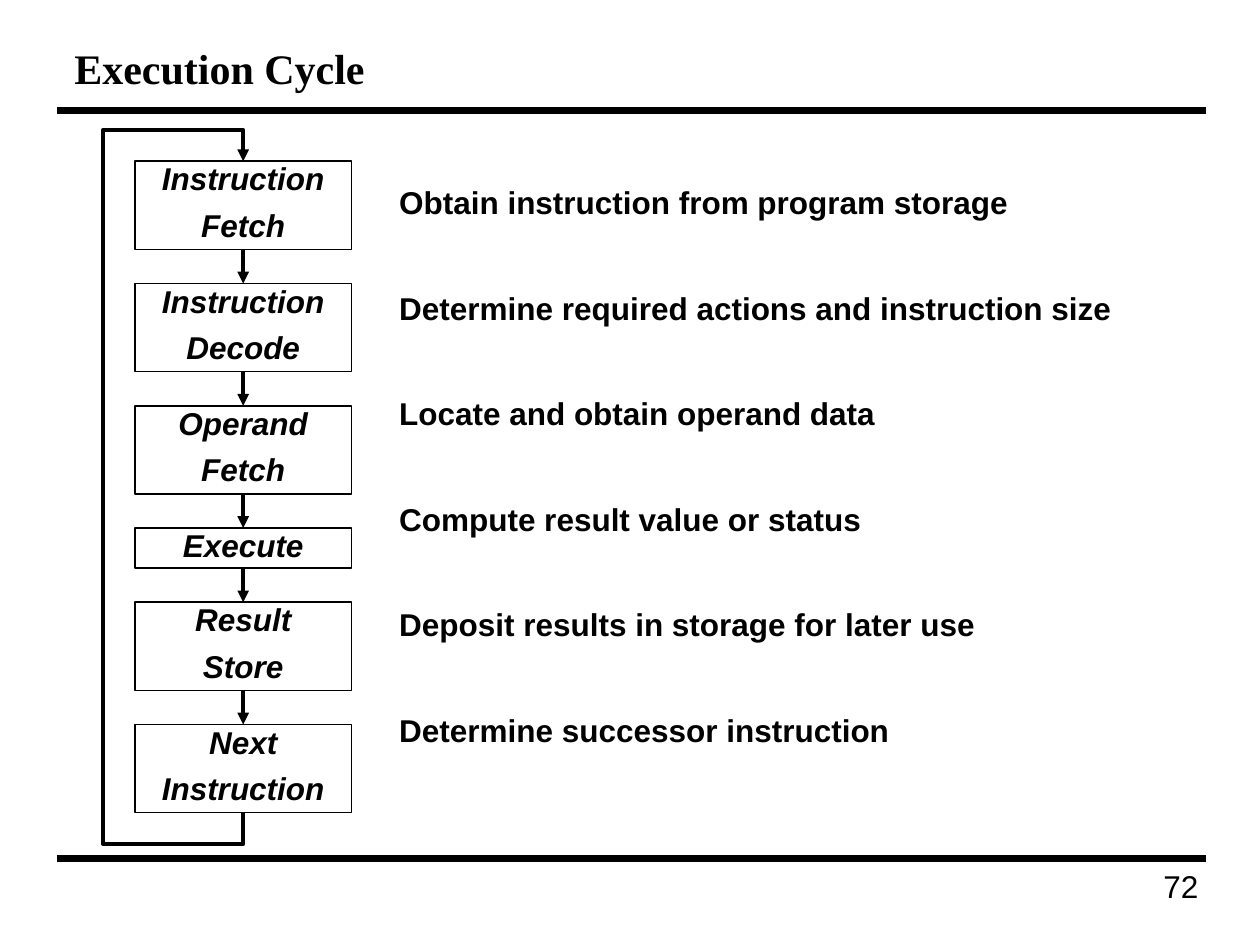
from lxml import etree
from pptx import Presentation
from pptx.dml.color import RGBColor
from pptx.enum.shapes import MSO_CONNECTOR, MSO_SHAPE
from pptx.enum.text import MSO_ANCHOR, PP_ALIGN
from pptx.oxml.ns import qn
from pptx.util import Inches, Pt

STRAIGHT = MSO_CONNECTOR.STRAIGHT
RECT = MSO_SHAPE.RECTANGLE
TOP, MIDDLE = MSO_ANCHOR.TOP, MSO_ANCHOR.MIDDLE
LEFT, CENTER, RIGHT, JUSTIFY = (
    PP_ALIGN.LEFT, PP_ALIGN.CENTER, PP_ALIGN.RIGHT, PP_ALIGN.JUSTIFY)
BLACK = "000000"

STEPS = [
    (["Instruction", "Fetch"], "Obtain instruction from program storage"),
    (["Instruction", "Decode"],
     "Determine required actions and instruction size"),
    (["Operand", "Fetch"], "Locate and obtain operand data"),
    (["Execute"], "Compute result value or status"),
    (["Result", "Store"], "Deposit results in storage for later use"),
    (["Next", "Instruction"], "Determine successor instruction"),
]


def color(code):
    return RGBColor.from_string(code)


def write(shape, lines, size=18, font="Arial", bold=False, italic=False,
          align=LEFT, anchor=TOP, pad=(0.1, 0.05), top=None,
          spacing=1.0, before=0):
    """Fill a shape with one paragraph per line; pad is (side, top/bottom)."""
    frame = shape.text_frame
    frame.word_wrap = True
    frame.vertical_anchor = anchor
    frame.margin_left = frame.margin_right = Inches(pad[0])
    frame.margin_bottom = Inches(pad[1])
    frame.margin_top = Inches(pad[1] if top is None else top)
    for i, line in enumerate(lines):
        para = frame.add_paragraph() if i else frame.paragraphs[0]
        para.alignment = align
        para.line_spacing = spacing
        para.space_before = Pt(before if i else 0)
        run = para.add_run()
        run.text = line
        run.font.size = Pt(size)
        run.font.name = font
        run.font.bold = bold
        run.font.italic = italic
        run.font.color.rgb = color(BLACK)


def stroke(shape, width, arrow=False):
    shape.line.color.rgb = color(BLACK)
    shape.line.width = Pt(width)
    if arrow:
        tail = etree.SubElement(shape.line._get_or_add_ln(), qn("a:tailEnd"))
        tail.set("type", "triangle")


def link(slide, x1, y1, x2, y2, width, arrow=False):
    line = slide.shapes.add_connector(
        STRAIGHT, Inches(x1), Inches(y1), Inches(x2), Inches(y2))
    stroke(line, width, arrow)
    etree.SubElement(line._element.spPr, qn("a:effectLst"))
    return line


def add_frame(slide, left, top, width, height):
    """Place the title, the two rules and the page number."""
    title = slide.shapes.title
    title.left, title.top = Inches(left + 0.04), Inches(top)
    title.width, title.height = Inches(width - 0.08), Inches(0.58)
    write(title, ["Execution Cycle"], size=24, font="Times New Roman",
          bold=True, anchor=MIDDLE)
    right, base = left + width, top + height - 0.51
    for y in (top + 0.63, base):
        link(slide, left, y, right, y, 4)
    page = slide.shapes.add_textbox(
        Inches(right - 2.01), Inches(base + 0.02), Inches(2.05), Inches(0.49))
    write(page, ["72"], align=RIGHT)


def add_notes(slide, left, top, width, height):
    """Place the step descriptions, evenly spaced."""
    body = slide.shapes.add_textbox(
        Inches(left), Inches(top), Inches(width), Inches(height))
    write(body, [note for _, note in STEPS], bold=True, align=JUSTIFY,
          top=0.48, spacing=0.97, before=39.4)


def add_loop(slide, mid, side, top, bottom, reach):
    """Lead from the last step back round to the first."""
    points = [(mid, bottom), (mid, bottom + reach), (side, bottom + reach),
              (side, top - reach), (mid, top - reach), (mid, top)]
    path = [(Inches(x), Inches(y)) for x, y in points]
    outline = slide.shapes.build_freeform(*path[0])
    outline.add_line_segments(path[1:], close=False)
    loop = outline.convert_to_shape()
    loop.shadow.inherit = False
    loop.fill.background()
    stroke(loop, 2.25, arrow=True)


def add_flow(slide, left, top, width, gap=0.27, reach=0.25):
    """Stack the step boxes, join them and close the cycle."""
    mid, y, last = left + width / 2, top, None
    for lines, _ in STEPS:
        height = 0.7 if len(lines) > 1 else 0.32
        box = slide.shapes.add_shape(
            RECT, Inches(left), Inches(y), Inches(width), Inches(height))
        box.shadow.inherit = False
        box.fill.background()
        stroke(box, 1)
        write(box, lines, bold=True, italic=True, align=CENTER,
              pad=(0.07, 0.03), spacing=0.86, before=8)
        if last is not None:
            arrow = link(slide, mid, y - gap, mid, y, 2.25, arrow=True)
            arrow.begin_connect(last, 2)
            arrow.end_connect(box, 0)
        last = box
        y += height + gap
    add_loop(slide, mid, left - reach, top, y - gap, reach)


def main():
    deck = Presentation()
    deck.slide_width, deck.slide_height = Inches(10), Inches(7.5)
    slide = deck.slides.add_slide(deck.slide_layouts[5])
    add_frame(slide, 0.45, 0.25, 9.12, 7.07)
    add_notes(slide, 3.07, 0.99, 6.47, 5.76)
    add_flow(slide, 1.07, 1.28, 1.72)
    deck.save("out.pptx")


if __name__ == "__main__":
    main()
